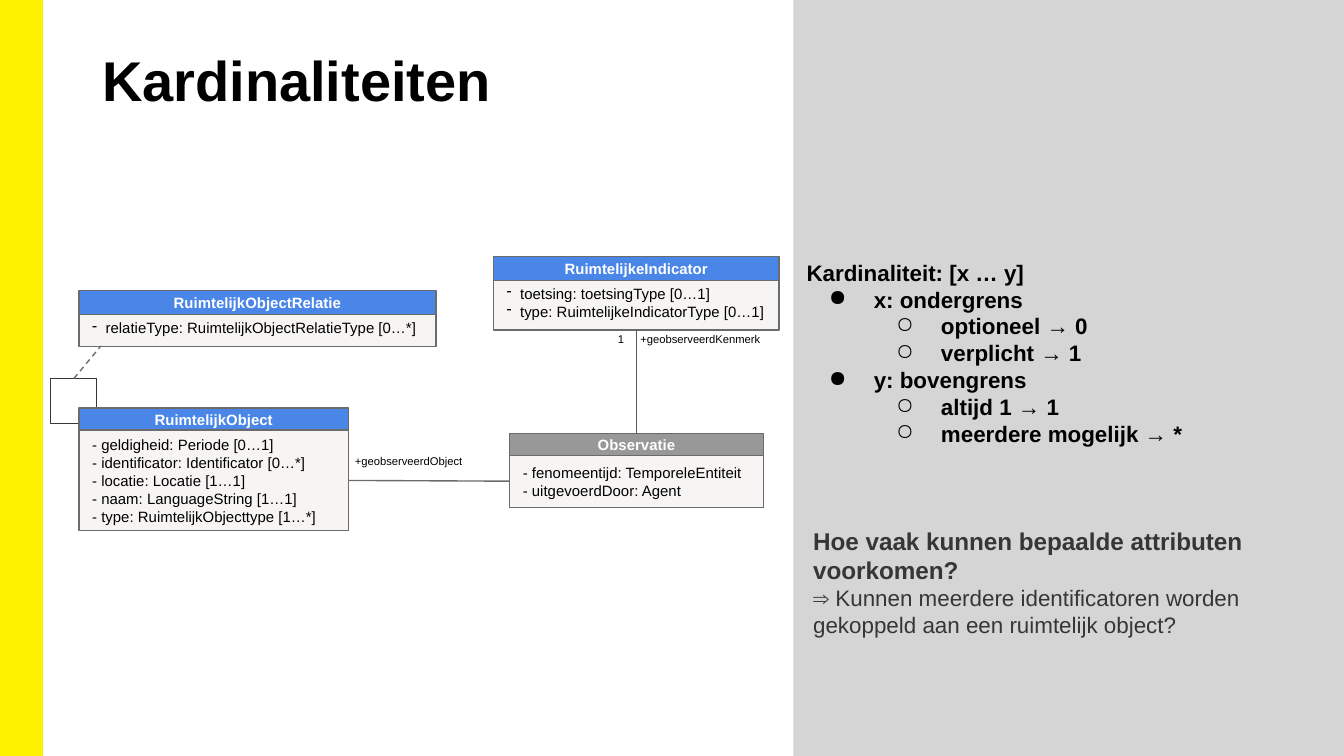
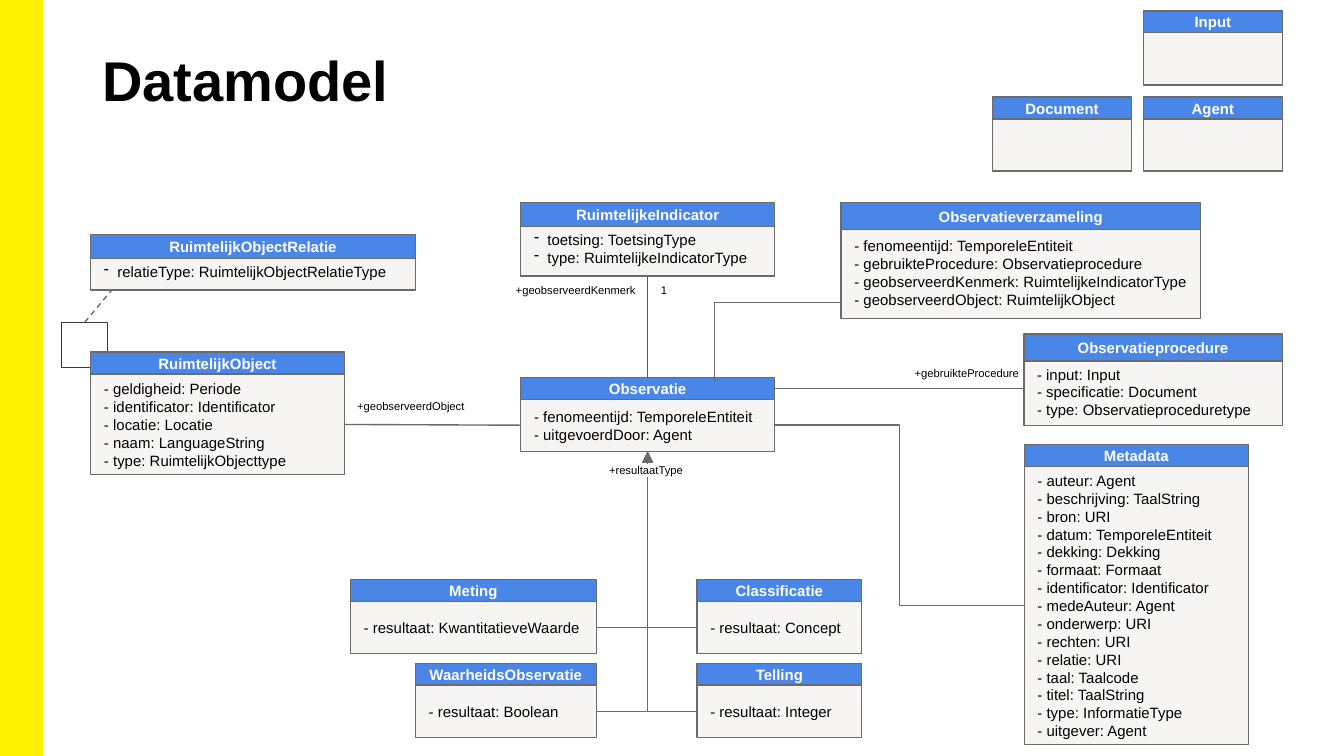
"""Build two slides on cardinalities and the data model as UML class diagrams."""
from lxml import etree
from pptx import Presentation
from pptx.dml.color import RGBColor
from pptx.enum.dml import MSO_LINE
from pptx.enum.shapes import MSO_CONNECTOR, MSO_SHAPE
from pptx.enum.text import MSO_ANCHOR, PP_ALIGN
from pptx.oxml.ns import qn
from pptx.util import Pt

RECTANGLE = MSO_SHAPE.RECTANGLE
STRAIGHT, ELBOW = MSO_CONNECTOR.STRAIGHT, MSO_CONNECTOR.ELBOW
DASH = MSO_LINE.DASH
TOP, MIDDLE = MSO_ANCHOR.TOP, MSO_ANCHOR.MIDDLE
LEFT, CENTER = PP_ALIGN.LEFT, PP_ALIGN.CENTER

COLORS = {
    "yellow": "FFF200", "panel": "D5D5D5", "blue": "4A86E8", "gray": "989898",
    "body": "F6F5F3", "border": "6B6B6B", "line": "595959", "dark": "373636",
    "black": "000000", "white": "FFFFFF",
}
FONT = "Arial"
BASE = {"color": "black", "bold": False, "align": LEFT, "anchor": TOP, "margins": (7.2,) * 4}
TITLE = BASE | {"size": 30, "bold": True, "margins": (5, 2.7, 5, 2.7)}
LABEL = BASE | {"size": 6}
BAND = BASE | {"fill": "yellow", "line": "yellow", "weight": 1}
PANEL = BASE | {"fill": "panel", "size": 12, "bold": True, "anchor": MIDDLE,
                "margins": (7.2, 7.2, 7.2, 36)}
QUESTION = BASE | {"size": 12, "color": "dark"}
CORNER = BASE | {"line": "dark"}
BODY = BASE | {"fill": "body", "line": "border", "size": 8, "anchor": MIDDLE}
HEADER = BODY | {"fill": "blue", "color": "white", "bold": True, "align": CENTER}
DASH_BULLET = {"bullet": "-", "indent": 7.2, "hanging": 7.2}
POINT = {"bullet": "●", "indent": 36, "hanging": 24}
SUBPOINT = {"bullet": "○", "indent": 72, "hanging": 24, "level": 1}

HEADER_SIZES = {"short": (11.75, 11.75), "medium": (12.75, 9.75), "tall": (14.5, 13)}


def add_box(slide, frame, style, paragraphs=()):
    """Add a rectangle or text box; each paragraph is (text, style changes)."""
    lengths = [Pt(value) for value in frame]
    if "fill" in style or "line" in style:
        shape = slide.shapes.add_shape(RECTANGLE, *lengths)
        shape.shadow.inherit = False
        if "fill" in style:
            shape.fill.solid()
            shape.fill.fore_color.rgb = RGBColor.from_string(COLORS[style["fill"]])
        else:
            shape.fill.background()
        if "line" in style:
            shape.line.color.rgb = RGBColor.from_string(COLORS[style["line"]])
            shape.line.width = Pt(style.get("weight", 0.75))
        else:
            shape.line.fill.background()
    else:
        shape = slide.shapes.add_textbox(*lengths)
    text_frame = shape.text_frame
    text_frame.word_wrap = True
    text_frame.vertical_anchor = style["anchor"]
    for side, margin in zip(("left", "top", "right", "bottom"), style["margins"]):
        setattr(text_frame, f"margin_{side}", Pt(margin))
    for index, (text, changes) in enumerate(paragraphs):
        look = style | changes
        paragraph = text_frame.add_paragraph() if index else text_frame.paragraphs[0]
        paragraph.alignment = look["align"]
        paragraph.level = look.get("level", 0)
        if "bullet" in look:
            properties = paragraph._p.get_or_add_pPr()
            properties.set("marL", str(Pt(look["indent"])))
            properties.set("indent", str(-Pt(look["hanging"])))
            bullet_color = etree.SubElement(properties, qn("a:buClr"))
            etree.SubElement(bullet_color, qn("a:srgbClr"), val=COLORS["black"])
            etree.SubElement(properties, qn("a:buChar"), char=look["bullet"])
        run = paragraph.add_run()
        run.text = text
        font_format = {"name": FONT, "size": Pt(look["size"]), "bold": look["bold"]}
        for name, value in font_format.items():
            setattr(run.font, name, value)
        run.font.color.rgb = RGBColor.from_string(COLORS[look["color"]])
        if "highlight" in look:
            highlight = etree.Element(qn("a:highlight"))
            etree.SubElement(highlight, qn("a:srgbClr"), val=COLORS[look["highlight"]])
            run._r.rPr.find(qn("a:solidFill")).addnext(highlight)


def add_line(slide, points, color="border", dashed=False, preset=None, bend=None, arrow=False):
    """Add a straight connector, or a bent one when a preset is named."""
    kind = ELBOW if preset else STRAIGHT
    connector = slide.shapes.add_connector(kind, *[Pt(value) for value in points])
    connector.line.color.rgb = RGBColor.from_string(COLORS[color])
    connector.line.width = Pt(0.75)
    if dashed:
        connector.line.dash_style = DASH
    properties = connector._element.spPr
    if preset:
        geometry = properties.find(qn("a:prstGeom"))
        geometry.set("prst", preset)
        if bend is not None:
            etree.SubElement(geometry.find(qn("a:avLst")), qn("a:gd"),
                             name="adj1", fmla=f"val {bend}")
    if arrow:
        etree.SubElement(properties.find(qn("a:ln")), qn("a:tailEnd"), type="triangle")
    etree.SubElement(properties, qn("a:effectLst"))


presentation = Presentation()
presentation.slide_width, presentation.slide_height = Pt(720), Pt(405)
blank_layout = presentation.slide_layouts[6]
cardinality_slide, model_slide = [presentation.slides.add_slide(blank_layout) for _ in range(2)]

add_box(cardinality_slide, (425, 0, 295, 407), PANEL, [
    ("Kardinaliteit: [x … y]", {}),
    ("x: ondergrens", POINT),
    ("optioneel → 0", SUBPOINT),
    ("verplicht → 1", SUBPOINT),
    ("y: bovengrens", POINT),
    ("altijd 1 → 1", SUBPOINT),
    ("meerdere mogelijk → *", SUBPOINT),
])
add_box(cardinality_slide, (428.5, 274.5, 291.5, 127), QUESTION, [
    ("Hoe vaak kunnen bepaalde attributen voorkomen?", {"size": 13, "bold": True}),
    ("⇒ Kunnen meerdere identificatoren worden gekoppeld aan een ruimtelijk object?", {}),
])

for slide, title in ((cardinality_slide, "Kardinaliteiten"), (model_slide, "Datamodel")):
    add_box(slide, (0, 0, 22.5, 405), BAND)
    add_box(slide, (49.8, 21.6, 640, 43), TITLE, [(title, {})])

for slide, left, top in ((cardinality_slide, 27, 202.8), (model_slide, 33, 172.7)):
    add_box(slide, (left, top, 24.7, 24.2), CORNER)

cardinality_classes = [
    ("Observatie", 273, 232.3, 136, 28, "short",
     ["fenomeentijd: TemporeleEntiteit", "uitgevoerdDoor: Agent"]),
    ("RuimtelijkObject", 42.3, 218.6, 144.5, 54, "short",
     ["geldigheid: Periode [0…1]", "identificator: Identificator [0…*]", "locatie: Locatie [1…1]",
      "naam: LanguageString [1…1]", "type: RuimtelijkObjecttype [1…*]"]),
    ("RuimtelijkeIndicator", 264.4, 137.5, 153, 29.5, "medium",
     ["toetsing: toetsingType [0…1]", "type: RuimtelijkeIndicatorType [0…1]"]),
    ("RuimtelijkObjectRelatie", 42.3, 155.8, 191.3, 20, "medium",
     ["relatieType: RuimtelijkObjectRelatieType [0…*]"]),
]
model_classes = [
    ("Input", 612.6, 5.8, 74.4, 28, "short", []),
    ("Agent", 612.6, 52, 74.4, 28, "short", []),
    ("Document", 531.8, 52, 74.4, 28, "short", []),
    ("Observatie", 279, 202.3, 136, 28, "short",
     ["fenomeentijd: TemporeleEntiteit", "uitgevoerdDoor: Agent"]),
    ("Classificatie", 373.4, 310.5, 88.3, 28, "short", ["resultaat: Concept"]),
    ("Meting", 187.8, 310.5, 131.7, 28, "short", ["resultaat: KwantitatieveWaarde"]),
    ("WaarheidsObservatie", 222.6, 355.3, 96.9, 28, "short", ["resultaat: Boolean"]),
    ("Telling", 373.4, 355.3, 88.3, 28, "short", ["resultaat: Integer"]),
    ("RuimtelijkObject", 48.6, 188.6, 135.8, 54, "short",
     ["geldigheid: Periode", "identificator: Identificator", "locatie: Locatie",
      "naam: LanguageString", "type: RuimtelijkObjecttype"]),
    ("Observatieprocedure", 548.5, 179, 138.5, 36, "tall",
     ["input: Input", "specificatie: Document", "type: Observatieproceduretype"]),
    ("RuimtelijkeIndicator", 279, 108.6, 136, 29.5, "medium",
     ["toetsing: ToetsingType", "type: RuimtelijkeIndicatorType"]),
    ("Metadata", 548.7, 238.2, 120.2, 148.9, "short",
     ["auteur: Agent", "beschrijving: TaalString", "bron: URI", "datum: TemporeleEntiteit",
      "dekking: Dekking", "formaat: Formaat", "identificator: Identificator",
      "medeAuteur: Agent", "onderwerp: URI", "rechten: URI", "relatie: URI",
      "taal: Taalcode", "titel: TaalString", "type: InformatieType", "uitgever: Agent"]),
    ("RuimtelijkObjectRelatie", 48.6, 125.7, 174, 20, "medium",
     ["relatieType: RuimtelijkObjectRelatieType"]),
    ("Observatieverzameling", 450.6, 108.6, 192.6, 49, "tall",
     ["fenomeentijd: TemporeleEntiteit", "gebruikteProcedure: Observatieprocedure",
      "geobserveerdKenmerk: RuimtelijkeIndicatorType", "geobserveerdObject: RuimtelijkObject"]),
]
for slide, classes in ((cardinality_slide, cardinality_classes), (model_slide, model_classes)):
    for name, left, top, width, body_height, size, attributes in classes:
        header_height, body_offset = HEADER_SIZES[size]
        if size == "medium":
            rows = [(attribute, DASH_BULLET) for attribute in attributes]
        else:
            rows = [(f"- {attribute}", {}) for attribute in attributes]
        is_gray = slide is cardinality_slide and name == "Observatie"
        header_style = HEADER | {"fill": "gray" if is_gray else "blue"}
        add_box(slide, (left, top + body_offset, width, body_height), BODY, rows)
        add_box(slide, (left, top, width, header_height), header_style, [(name, {})])

add_line(cardinality_slide, (341, 177, 341, 232.3), "line")
add_line(cardinality_slide, (39.6, 202.8, 54, 185.4), dashed=True)
add_line(cardinality_slide, (186.8, 257.4, 273, 257.8))

add_line(model_slide, (415, 208.1, 548.5, 208.1))
add_line(model_slide, (347, 148, 347, 202.3), "line")
add_line(model_slide, (184.4, 227.4, 279, 227.8))
add_line(model_slide, (45.4, 172.7, 59.8, 155.5), dashed=True)
add_line(model_slide, (415, 227.8, 548.7, 324.3), preset="bentConnector3", bend=50000)
add_line(model_slide, (382, 204.5, 451, 162), preset="bentConnector3", bend=1100)
for result_top in (336.3, 381.2):
    for result_edge in (319.5, 373.4):
        add_line(model_slide, (result_edge, result_top, 347, 242),
                 preset="bentConnector2", arrow=True)

for slide, text, left, top, width, changes in (
    (cardinality_slide, "+geobserveerdObject", 183, 239.8, 85, {}),
    (cardinality_slide, "+geobserveerdKenmerk", 336, 174.3, 85, {}),
    (cardinality_slide, "1", 324, 174.3, 16, {}),
    (model_slide, "+geobserveerdObject", 184.2, 210.3, 85, {}),
    (model_slide, "+gebruikteProcedure", 482.9, 192.5, 85, {}),
    (model_slide, "+geobserveerdKenmerk", 269.2, 148.2, 85, {}),
    (model_slide, "1", 347, 148.2, 16, {}),
    (model_slide, "+resultaatType", 319.2, 244.5, 55.5, {"highlight": "white"}),
):
    add_box(slide, (left, top, width, 24), LABEL, [(text, changes)])

presentation.save("out.pptx")
